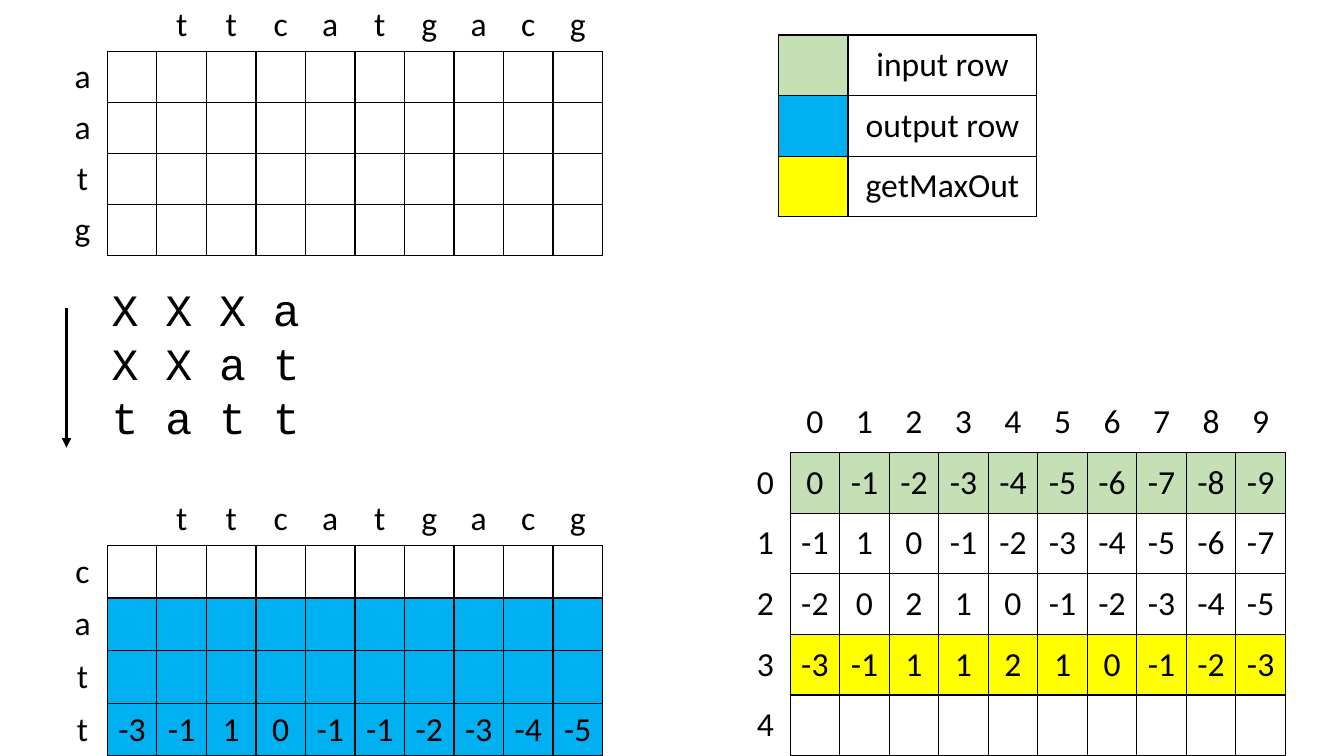
from lxml import etree
from pptx import Presentation
from pptx.dml.color import RGBColor
from pptx.enum import shapes, text
from pptx.oxml import ns
from pptx.util import Pt

BLACK, GREEN, BLUE, YELLOW = "000000", "C5E0B4", "00B0F0", "FFFF00"
GRID_COLUMN = 35.4
BASES = "ttcatgacg"
SCORES = [
    [0, -1, -2, -3, -4, -5, -6, -7, -8, -9],
    [-1, 1, 0, -1, -2, -3, -4, -5, -6, -7],
    [-2, 0, 2, 1, 0, -1, -2, -3, -4, -5],
    [-3, -1, 1, 1, 2, 1, 0, -1, -2, -3],
    [""] * 10,
]


def color(value):
    """Turn a hex string into a colour."""
    return RGBColor.from_string(value)


def style_font(paragraph, face, size):
    """Format every run of a paragraph in black."""
    for run in paragraph.runs:
        run.font.name = face
        run.font.size = Pt(size)
        run.font.color.rgb = color(BLACK)


def set_borders(cell, visible):
    """Draw the named sides of a cell and clear the other sides."""
    properties = cell._tc.get_or_add_tcPr()
    for side in "LRTB":
        border = etree.SubElement(properties, ns.qn(f"a:ln{side}"), w=str(Pt(1)))
        if side in visible:
            paint = etree.SubElement(border, ns.qn("a:solidFill"))
            etree.SubElement(paint, ns.qn("a:srgbClr"), val=BLACK)
        else:
            etree.SubElement(border, ns.qn("a:noFill"))


def fill_cell(cell, value, borders, shade):
    """Set the text, borders and shade of one cell."""
    set_borders(cell, borders)
    if shade:
        cell.fill.solid()
        cell.fill.fore_color.rgb = color(shade)
    else:
        cell.fill.background()
    cell.vertical_anchor = text.MSO_ANCHOR.MIDDLE
    cell.text_frame.text = str(value)
    entry = cell.text_frame.paragraphs[0]
    entry.alignment = text.PP_ALIGN.CENTER
    style_font(entry, "Calibri", 24)


def add_cells(slide, left, top, widths, row_height, rows, borders_at, shade_at):
    """Add a table whose borders and shades follow from row and column."""
    frame = slide.shapes.add_table(
        len(rows), len(widths), Pt(left), Pt(top), Pt(sum(widths)), Pt(row_height * len(rows))
    )
    cells = frame.table
    cells.first_row = cells.horz_banding = False
    for column, width in zip(cells.columns, widths):
        column.width = Pt(width)
    for r, values in enumerate(rows):
        cells.rows[r].height = Pt(row_height)
        for c, value in enumerate(values):
            fill_cell(cells.cell(r, c), value, borders_at(r, c), shade_at(r, c))


def grid_borders(row, column):
    """Frame the score cells and leave the headings open."""
    if row and column:
        return "LRTB"
    return "R" if row else "B" if column else ""


def add_grid(slide, left, top, row_height, headings, labels, scores, shades):
    """Add a score grid with column headings, row labels and shaded rows."""
    rows = [["", *headings]] + [[label, *line] for label, line in zip(labels, scores)]
    add_cells(
        slide, left, top, [GRID_COLUMN] * 11, row_height, rows, grid_borders,
        lambda row, column: shades.get(row) if column else None,
    )


def add_legend(slide):
    """Add the key to the row colours."""
    shades = [GREEN, BLUE, YELLOW]
    rows = [["", name] for name in ("input row", "output row", "getMaxOut")]
    add_cells(
        slide, 555.8, 25, [50, 134.9], 43.3, rows,
        lambda row, column: "LRTB",
        lambda row, column: None if column else shades[row],
    )


def add_sequences(slide):
    """Add the monospaced block of sequences."""
    block = slide.shapes.add_textbox(Pt(72.7), Pt(198), Pt(396), Pt(123.8)).text_frame
    block.word_wrap = True
    block.text = "X X X a\nX X a t\nt a t t"
    for sequence in block.paragraphs:
        style_font(sequence, "Courier New", 32)


def add_down_arrow(slide):
    """Add the arrow that shows the reading direction."""
    arrow = slide.shapes.add_connector(
        shapes.MSO_CONNECTOR.STRAIGHT, Pt(47.5), Pt(220.3), Pt(47.5), Pt(319.7)
    )
    arrow.line.color.rgb = color(BLACK)
    arrow.line.width = Pt(2.25)
    etree.SubElement(arrow.line._get_or_add_ln(), ns.qn("a:tailEnd"), type="triangle")
    etree.SubElement(arrow._element.spPr, ns.qn("a:effectLst"))


def main():
    """Build the slide and save it."""
    deck = Presentation()
    deck.slide_width, deck.slide_height = Pt(960), Pt(540)
    slide = deck.slides.add_slide(deck.slide_layouts[6])
    empty = [""] * 10
    result = [-3, -1, 1, 0, -1, -1, -2, -3, -4, -5]
    bases = ["", *BASES]
    add_grid(slide, 41.3, 0, 36.5, bases, "aatg", [empty] * 4, {})
    add_grid(slide, 529, 280, 43.3, range(10), range(5), SCORES, {1: GREEN, 4: YELLOW})
    add_grid(slide, 41.3, 352, 37.6, bases, "catt", [empty] * 3 + [result],
             {2: BLUE, 3: BLUE, 4: BLUE})
    add_sequences(slide)
    add_legend(slide)
    add_down_arrow(slide)
    deck.save("out.pptx")


if __name__ == "__main__":
    main()
